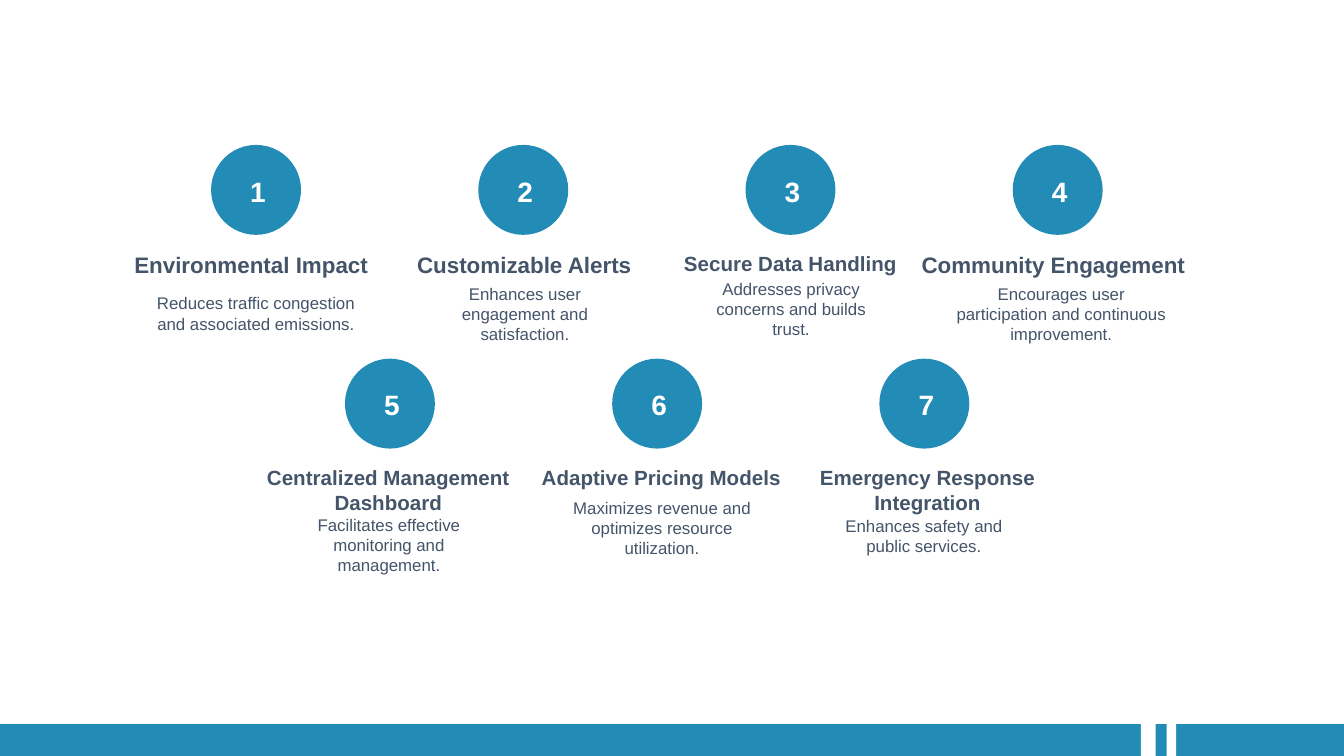
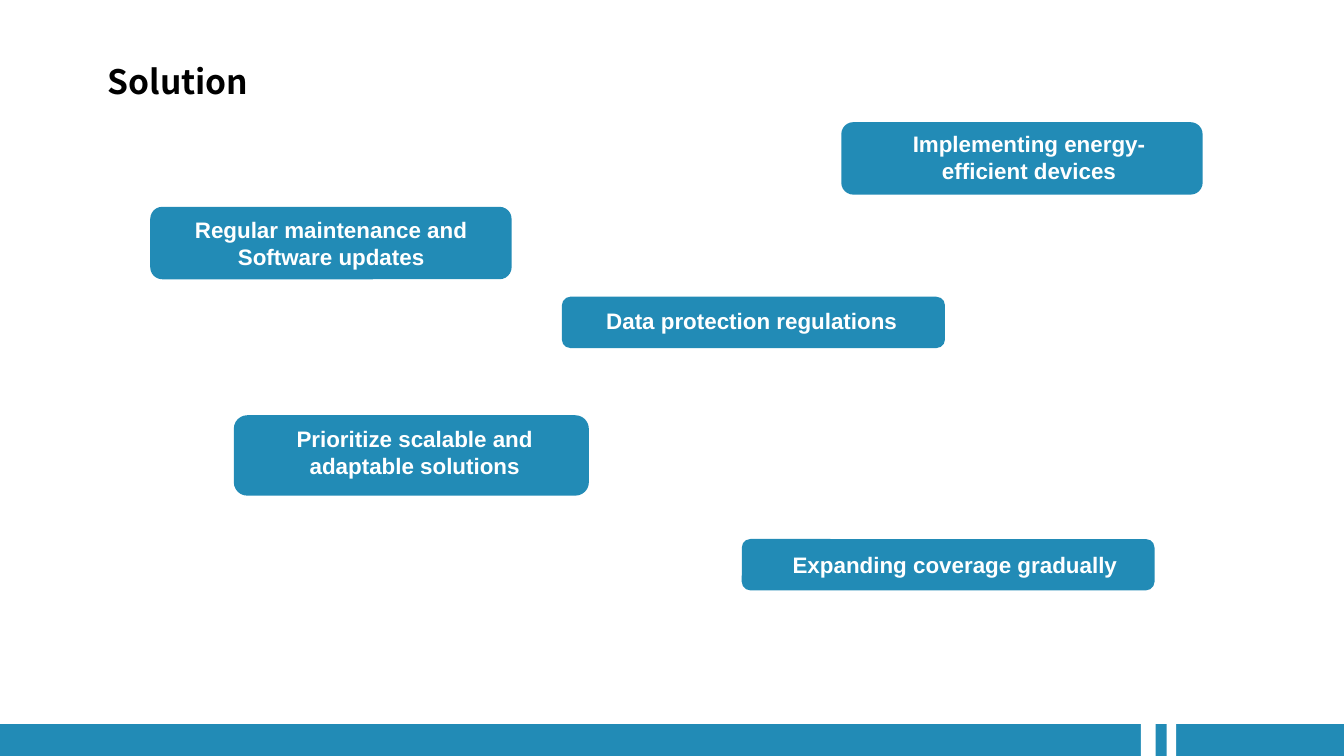
from pptx import Presentation
from pptx.dml.color import RGBColor
from pptx.enum.shapes import MSO_SHAPE
from pptx.enum.text import MSO_ANCHOR, MSO_AUTO_SIZE, PP_ALIGN
from pptx.util import Cm, Pt

RECT, ROUND, OVAL = MSO_SHAPE.RECTANGLE, MSO_SHAPE.ROUNDED_RECTANGLE, MSO_SHAPE.OVAL
LEFT, CENTER = PP_ALIGN.LEFT, PP_ALIGN.CENTER
TOP, NO_FIT = MSO_ANCHOR.TOP, MSO_AUTO_SIZE.NONE

COLORS = {"blue": "228BB6", "slate": "445469", "white": "FFFFFF", "black": "000000"}
FONT, TITLE_FONT = "Arial", "Noto Sans CJK SC"
TITLE_ONLY, BLANK = 5, 6
WIDTH, HEIGHT = 25.4, 14.29
BAND_TOP, BAND_HEIGHT = 13.69, 0.6

CIRCLE = 1.7
COLUMN_STEP = 5.05
ROWS = [(3.99, 2.74), (6.52, 6.78)]
PER_ROW = 4

BENEFITS = [
    ("Environmental Impact", 12, (2.31, 4.88, 1.12),
     "Reduces traffic congestion and associated emissions.", (2.69, 5.54, 4.29, 0.76)),
    ("Customizable Alerts", 12, (7.47, 4.88, 0.51),
     "Enhances user engagement and satisfaction.", (8.18, 5.36, 3.48, 1.14)),
    ("Secure Data Handling", 11, (12.5, 4.88, 1.04),
     "Addresses privacy concerns and builds trust.", (13.21, 5.26, 3.48, 1.14)),
    ("Community Engagement", 12, (17.37, 5.08, 1.12),
     "Encourages user participation and continuous improvement.", (18.06, 5.36, 3.99, 1.14)),
    ("Centralized Management Dashboard", 11, (4.9, 4.88, 2.11),
     "Facilitates effective monitoring and management.", (5.61, 9.73, 3.48, 1.14)),
    ("Adaptive Pricing Models", 11, (10.06, 4.88, 1.7),
     "Maximizes revenue and optimizes resource utilization.", (10.77, 9.4, 3.48, 1.14)),
    ("Emergency Response Integration", 11, (15.09, 4.88, 0.94),
     "Enhances safety and public services.", (15.72, 9.75, 3.48, 0.76)),
]

SOLUTIONS = [
    ("Data protection regulations", (10.62, 5.61, 7.24, 0.97), (11.1, 5.69, 6.22, 0.76)),
    ("Regular maintenance and Software updates",
     (2.84, 3.91, 6.83, 1.37), (3.35, 3.96, 5.82, 1.27)),
    ("Prioritize scalable and adaptable solutions",
     (4.42, 7.85, 6.71, 1.52), (4.93, 7.92, 5.82, 1.27)),
    ("Implementing energy-efficient devices",
     (15.9, 2.31, 6.83, 1.37), (16.54, 2.34, 5.82, 1.27)),
    ("Expanding coverage gradually", (14.02, 10.19, 7.8, 0.97), (14.53, 10.29, 7.04, 0.76)),
]


def write(tf, text, size=12, color="slate", bold=False, font=FONT, align=CENTER, inset=None):
    tf.word_wrap = True
    tf.auto_size = NO_FIT
    tf.vertical_anchor = TOP
    if inset is not None:
        tf.margin_left = tf.margin_right = tf.margin_top = tf.margin_bottom = Cm(inset)
    p = tf.paragraphs[0]
    p.alignment = align
    r = p.add_run()
    r.text = text
    r.font.name = font
    r.font.size = Pt(size)
    r.font.bold = bold
    r.font.color.rgb = RGBColor.from_string(COLORS[color])


def add_text(s, box, text, **fmt):
    sp = s.shapes.add_textbox(*map(Cm, box))
    write(sp.text_frame, text, **fmt)


def add_block(s, kind, box, color="blue"):
    sp = s.shapes.add_shape(kind, *map(Cm, box))
    sp.shadow.inherit = False
    sp.fill.solid()
    sp.fill.fore_color.rgb = RGBColor.from_string(COLORS[color])
    sp.line.fill.background()


def add_title(s, text):
    sp = s.shapes.title
    sp.left, sp.top, sp.width, sp.height = map(Cm, (1.78, 1.02, 5.51, 1.02))
    write(sp.text_frame, text, size=18, color="black", bold=True, font=TITLE_FONT, align=LEFT)


def add_slide(prs, layout):
    s = prs.slides.add_slide(prs.slide_layouts[layout])
    add_block(s, RECT, (0, BAND_TOP, WIDTH, BAND_HEIGHT))
    for x, w in [(21.56, 0.28), (22.05, 0.18)]:
        add_block(s, RECT, (x, BAND_TOP, w, BAND_HEIGHT), "white")
    return s


def add_benefit(s, i, heading, size, heading_box, body, body_box):
    row, column = divmod(i, PER_ROW)
    x, y = ROWS[row]
    x += column * COLUMN_STEP
    add_block(s, OVAL, (x, y, CIRCLE, CIRCLE))
    add_text(s, (x + 0.49, y + 0.43, 0.71, 0.89), str(i + 1),
             size=15, color="white", bold=True, align=LEFT)
    left, width, height = heading_box
    add_text(s, (left, y + 2.01, width, height), heading, size=size, bold=True, inset=0)
    add_text(s, body_box, body, size=9, inset=0)


def add_solution(s, text, pill, label):
    add_block(s, ROUND, pill)
    add_text(s, label, text, color="white", bold=True)


def main():
    prs = Presentation()
    prs.slide_width, prs.slide_height = Cm(WIDTH), Cm(HEIGHT)

    s = add_slide(prs, BLANK)
    for i, benefit in enumerate(BENEFITS):
        add_benefit(s, i, *benefit)

    s = add_slide(prs, TITLE_ONLY)
    add_title(s, "Solution")
    for solution in SOLUTIONS:
        add_solution(s, *solution)

    prs.save("out.pptx")


if __name__ == "__main__":
    main()
